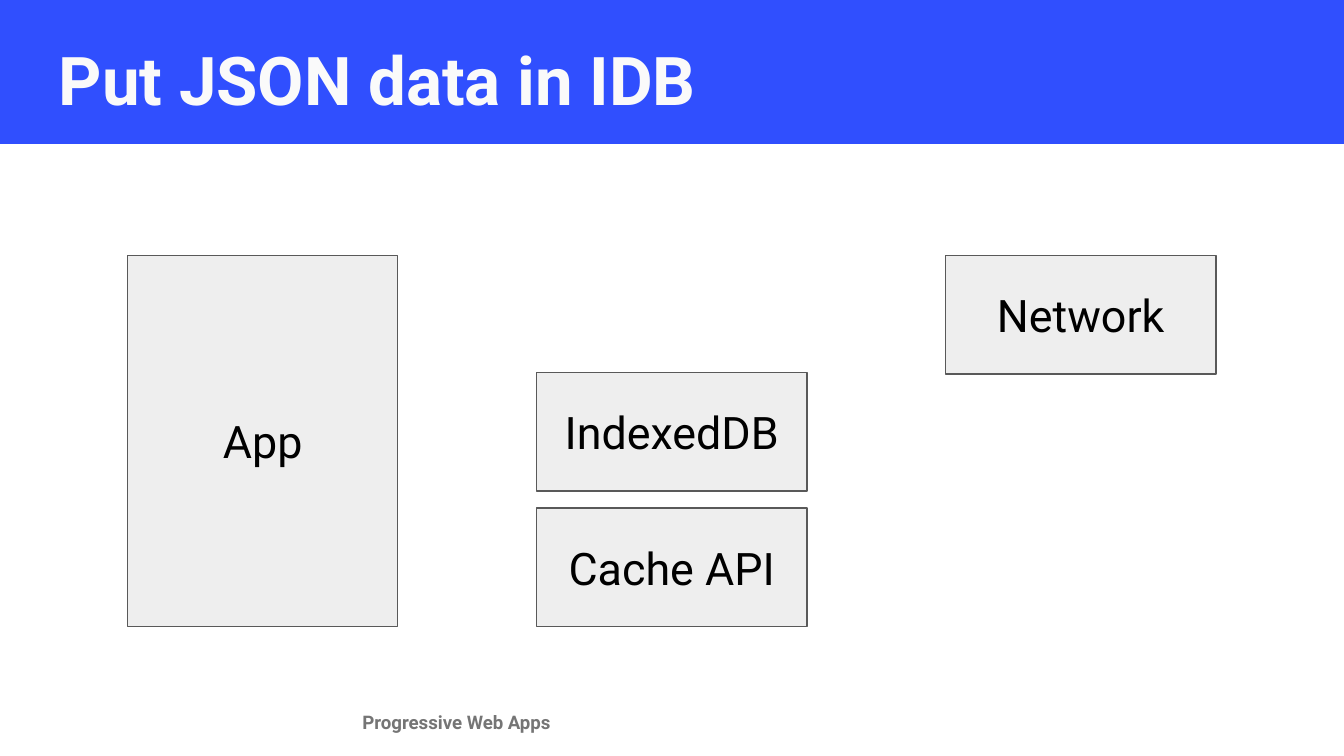
from dataclasses import dataclass

import pptx
import pptx.dml.color
import pptx.enum.shapes
import pptx.enum.text
import pptx.util

Cm = pptx.util.Cm
Pt = pptx.util.Pt
ALIGN = pptx.enum.text.PP_ALIGN
ANCHOR = pptx.enum.text.MSO_ANCHOR

FONT = "Roboto"
COLUMN_LEFT = 2.41
COLUMN_PITCH = 7.73
BLOCK_WIDTH = 5.11
BLOCK_HEIGHT = 2.24
DIAGRAM_TOP = 4.83
DIAGRAM_BOTTOM = 11.84
ROW_GAP = 0.32
CACHE_TOP = DIAGRAM_BOTTOM - BLOCK_HEIGHT
DATABASE_TOP = CACHE_TOP - ROW_GAP - BLOCK_HEIGHT


@dataclass(frozen=True)
class Frame:
    left: float
    top: float
    width: float
    height: float

    def lengths(self) -> tuple:
        return Cm(self.left), Cm(self.top), Cm(self.width), Cm(self.height)


@dataclass(frozen=True)
class TextStyle:
    size: int
    color: str
    bold: bool = False
    align: ALIGN = ALIGN.LEFT
    anchor: ANCHOR = ANCHOR.TOP


@dataclass(frozen=True)
class Block:
    label: str
    column: int
    top: float
    height: float = BLOCK_HEIGHT


TITLE_STYLE = TextStyle(36, "FAFAFA", bold=True)
FOOTER_STYLE = TextStyle(10, "757575", bold=True)
BLOCK_STYLE = TextStyle(24, "000000", align=ALIGN.CENTER, anchor=ANCHOR.MIDDLE)

BLOCKS = [
    Block("App", 0, DIAGRAM_TOP, DIAGRAM_BOTTOM - DIAGRAM_TOP),
    Block("IndexedDB", 1, DATABASE_TOP),
    Block("Cache API", 1, CACHE_TOP),
    Block("Network", 2, DIAGRAM_TOP),
]


def color(value: str) -> pptx.dml.color.RGBColor:
    return pptx.dml.color.RGBColor.from_string(value)


def write(box, text: str, style: TextStyle) -> None:
    frame = box.text_frame
    frame.word_wrap = True
    frame.vertical_anchor = style.anchor
    frame.margin_left = frame.margin_right = Cm(0.25)
    frame.margin_top = frame.margin_bottom = Cm(0.25)
    para = frame.paragraphs[0]
    para.alignment = style.align
    span = para.add_run()
    span.text = text
    span.font.name = FONT
    span.font.size = Pt(style.size)
    span.font.bold = style.bold
    span.font.color.rgb = color(style.color)


def add_rectangle(page, frame: Frame, fill: str):
    box = page.shapes.add_shape(
        pptx.enum.shapes.MSO_SHAPE.RECTANGLE, *frame.lengths()
    )
    box.shadow.inherit = False
    box.fill.solid()
    box.fill.fore_color.rgb = color(fill)
    box.line.fill.background()
    return box


def add_text(page, frame: Frame, text: str, style: TextStyle) -> None:
    write(page.shapes.add_textbox(*frame.lengths()), text, style)


def add_block(page, block: Block) -> None:
    left = COLUMN_LEFT + block.column * COLUMN_PITCH
    frame = Frame(left, block.top, BLOCK_WIDTH, block.height)
    box = add_rectangle(page, frame, "EEEEEE")
    box.line.color.rgb = color("595959")
    box.line.width = Pt(0.75)
    write(box, block.label, BLOCK_STYLE)


def main() -> None:
    deck = pptx.Presentation()
    deck.slide_width = Cm(25.4)
    deck.slide_height = Cm(14.29)
    page = deck.slides.add_slide(deck.slide_layouts[6])
    page.background.fill.solid()
    page.background.fill.fore_color.rgb = color("FFFFFF")

    add_text(page, Frame(6.6, 13.23, 14.71, 0.64), "Progressive Web Apps", FOOTER_STYLE)
    add_rectangle(page, Frame(-0.03, -0.1, 25.43, 2.82), "304FFE")
    add_text(page, Frame(0.86, 0.48, 23.67, 1.6), "Put JSON data in IDB", TITLE_STYLE)
    for block in BLOCKS:
        add_block(page, block)

    deck.save("out.pptx")


if __name__ == "__main__":
    main()
